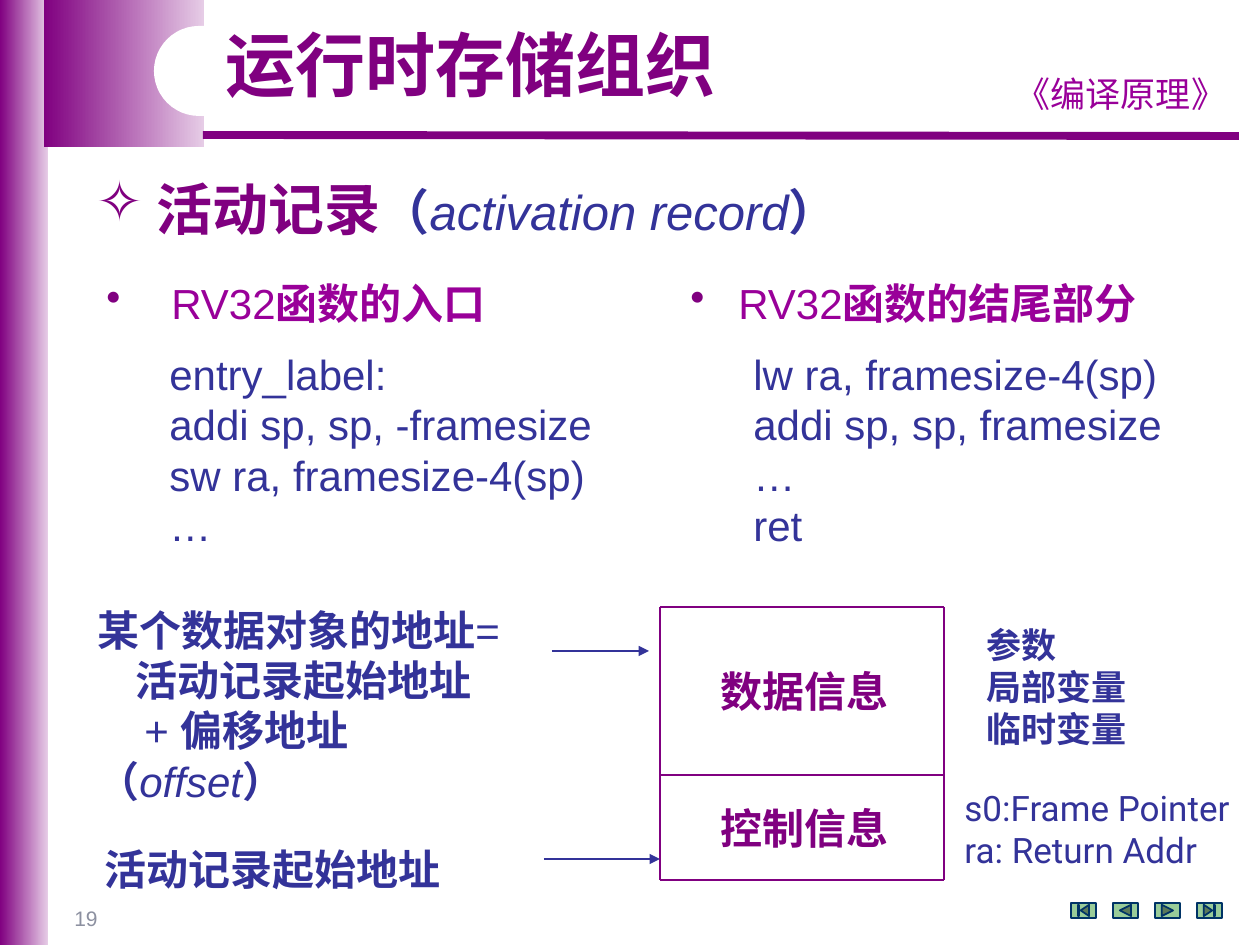
from dataclasses import dataclass
from lxml.etree import SubElement
from pptx import Presentation
from pptx.dml.color import RGBColor as RGB
from pptx.enum.shapes import MSO_CONNECTOR as LINK, MSO_SHAPE as SHAPE
from pptx.enum.text import MSO_ANCHOR as ANCHOR, PP_ALIGN as ALIGN
from pptx.oxml.ns import qn
from pptx.util import Emu, Pt


@dataclass(frozen=True)
class Theme:
    purple: RGB = RGB(0x80, 0x00, 0x80)
    pale: RGB = RGB(0xE6, 0xCC, 0xE6)
    magenta: RGB = RGB(0x99, 0x00, 0x99)
    blue: RGB = RGB(0x33, 0x33, 0x99)
    white: RGB = RGB(0xFF, 0xFF, 0xFF)
    green: RGB = RGB(0x99, 0xCC, 0x99)
    navy: RGB = RGB(0x00, 0x33, 0x66)
    gray: RGB = RGB(0x8C, 0x90, 0xA0)
    latin: str = "Arial"
    title: int = 40
    heading: int = 32
    subheading: int = 28
    body: int = 24
    note: int = 20
    number: int = 12


theme = Theme()
PX = 914400 / 126


def px(*lengths):
    return [Emu(round(length * PX)) for length in lengths]


def write(frame, lines, size, color, bold=False, font=theme.latin):
    frame.word_wrap = True
    for number, (runs, margin, indent, bullet) in enumerate(lines):
        par = frame.add_paragraph() if number else frame.paragraphs[0]
        props = par._p.get_or_add_pPr()
        props.set("marL", str(px(margin)[0]))
        props.set("indent", str(px(indent)[0]))
        if bullet:
            tint = SubElement(props, qn("a:buClr"))
            SubElement(tint, qn("a:srgbClr"), val=str(theme.purple))
            SubElement(props, qn("a:buChar"), char=bullet)
        par.line_spacing = Pt(size * 1.2)
        par.font.name, par.font.size, par.font.bold = font, Pt(size), bold
        par.font.color.rgb = color
        for text, changes in runs:
            if text == "\n":
                par.add_line_break()
                continue
            run = par.add_run()
            run.text = text
            for key, value in changes.items():
                if key == "color":
                    run.font.color.rgb = value
                else:
                    setattr(run.font, key, value)


prs = Presentation()
prs.slide_width, prs.slide_height = px(1260, 945)
slide = prs.slides.add_slide(prs.slide_layouts[5])
shapes = slide.shapes

for place in [(0, 0, 48, 945), (44, 0, 160, 147)]:
    band = shapes.add_shape(SHAPE.RECTANGLE, *px(*place))
    band.shadow.inherit = False
    band.line.fill.background()
    band.fill.gradient()
    band.fill.gradient_angle = 0
    for stop, color in zip(band.fill.gradient_stops, (theme.purple, theme.pale)):
        stop.color.rgb = color

notch = shapes.add_shape(SHAPE.ROUNDED_RECTANGLE, *px(154, 26, 456, 90))
notch.adjustments[0] = 0.5
notch.shadow.inherit = False
notch.fill.solid()
notch.fill.fore_color.rgb = theme.white
notch.line.fill.background()

title = shapes.title
title.left, title.top, title.width, title.height = px(213, 26, 522, 88)
title.element.getparent().append(title.element)
title.text_frame.vertical_anchor = ANCHOR.TOP
write(title.text_frame, [([("运行时存储组织", {})], 0, 0, None)], theme.title, theme.purple, True)
title.text_frame.paragraphs[0].alignment = ALIGN.LEFT
title.text_frame.paragraphs[0].line_spacing = Pt(42)

course = shapes.add_textbox(*px(997, 66, 248, 54)).text_frame
write(course, [([("《编译原理》", {})], 0, 0, None)], theme.note, theme.magenta, font="Noto Sans CJK SC")
course.paragraphs[0].alignment = ALIGN.CENTER

aside = {"size": Pt(theme.subheading), "color": theme.blue}
topic = shapes.add_textbox(*px(84, 168, 924, 79)).text_frame
write(topic, [([
    ("活动记录", {}),
    ("（", aside),
    ("activation record", {**aside, "bold": False, "italic": True}),
    ("）", aside),
], 60, -60, "✧")], theme.heading, theme.purple, True)

listings = [
    (94, 536, 65, "函数的入口",
     ["entry_label:", "addi sp, sp, -framesize", "sw ra, framesize-4(sp)", "…"]),
    (678, 519, 48, "函数的结尾部分",
     ["lw ra, framesize-4(sp)", "addi sp, sp, framesize", "…", "ret"]),
]
for left, width, hang, caption, code in listings:
    listing = shapes.add_textbox(*px(left, 271, width, 289)).text_frame
    magenta = {"color": theme.magenta}
    header = [("RV32", magenta), (caption, {**magenta, "bold": True})]
    lines = [(header, hang, -hang, "•")] + [([(line, {})], 63, 0, None) for line in code]
    write(listing, lines, theme.body, theme.blue)
    listing.paragraphs[1].space_before = Pt(12)

for caption, top in [("控制信息", 796), ("数据信息", 659)]:
    part = shapes.add_textbox(*px(708, top, 194, 63)).text_frame
    write(part, [([(caption, {})], 0, 0, None)], theme.body, theme.purple, True)

left, right, top, middle, bottom = 660, 944, 607, 775, 880
record_edges = [(x, top, x, bottom) for x in (left, right)]
record_edges += [(left, y, right, y) for y in (top, middle, bottom)]
arrows = [(544, 859, left, 859), (552, 651, 649, 651)]
strokes = [(ends, theme.purple, 0.75, False) for ends in record_edges]
strokes += [(ends, theme.blue, 0.75, True) for ends in arrows]
strokes.append(((203, 135, 1239, 136), theme.purple, 4.5, False))
for ends, color, weight, pointed in strokes:
    stroke = shapes.add_connector(LINK.STRAIGHT, *px(*ends))
    stroke.line.color.rgb = color
    stroke.line.width = Pt(weight)
    if pointed:
        SubElement(stroke.line._get_or_add_ln(), qn("a:tailEnd"), type="triangle")
    SubElement(stroke.element.spPr, qn("a:effectLst"))

start = shapes.add_textbox(*px(44, 837, 576, 63)).text_frame
write(start, [([("活动记录起始地址", {})], 48, 0, None)], theme.body, theme.blue, True)

plain = {"bold": False}
address = shapes.add_textbox(*px(85, 598, 485, 216)).text_frame
write(address, [
    ([("某个数据对象的地址", {}), ("=", plain)], 0, 0, None),
    ([("活动记录起始地址", {})], 38, 0, None),
    ([("+ ", plain), ("偏移地址", {}), ("\n", {}), ("（", {}),
      ("offset", {**plain, "italic": True}), ("）", {})], 0, 47, None),
], theme.body, theme.blue, True)

contents = shapes.add_textbox(*px(974, 617, 166, 140)).text_frame
write(contents, [([(line, {})], 0, 0, None) for line in ("参数", "局部变量", "临时变量")],
      theme.note, theme.blue, True)
contents.word_wrap = False

registers = shapes.add_textbox(*px(952, 780, 292, 97)).text_frame
write(registers, [([(line, {})], 0, 0, None) for line in ("s0:Frame Pointer", "ra: Return Addr")],
      theme.note, theme.blue, font="Roboto")

page = shapes.add_textbox(*px(43, 893, 67, 50)).text_frame
page.vertical_anchor = ANCHOR.MIDDLE
write(page, [([("19", {})], 0, 0, None)], theme.number, theme.gray)
page.paragraphs[0].alignment = ALIGN.RIGHT

buttons = [SHAPE.ACTION_BUTTON_BEGINNING, SHAPE.ACTION_BUTTON_BACK_OR_PREVIOUS,
           SHAPE.ACTION_BUTTON_FORWARD_OR_NEXT, SHAPE.ACTION_BUTTON_END]
for number, kind in enumerate(buttons):
    button = shapes.add_shape(kind, *px(1071 + 42 * number, 903, 25, 15))
    button.shadow.inherit = False
    button.fill.solid()
    button.fill.fore_color.rgb = theme.green
    button.line.color.rgb = theme.navy
    button.line.width = Pt(1)

prs.save("out.pptx")
